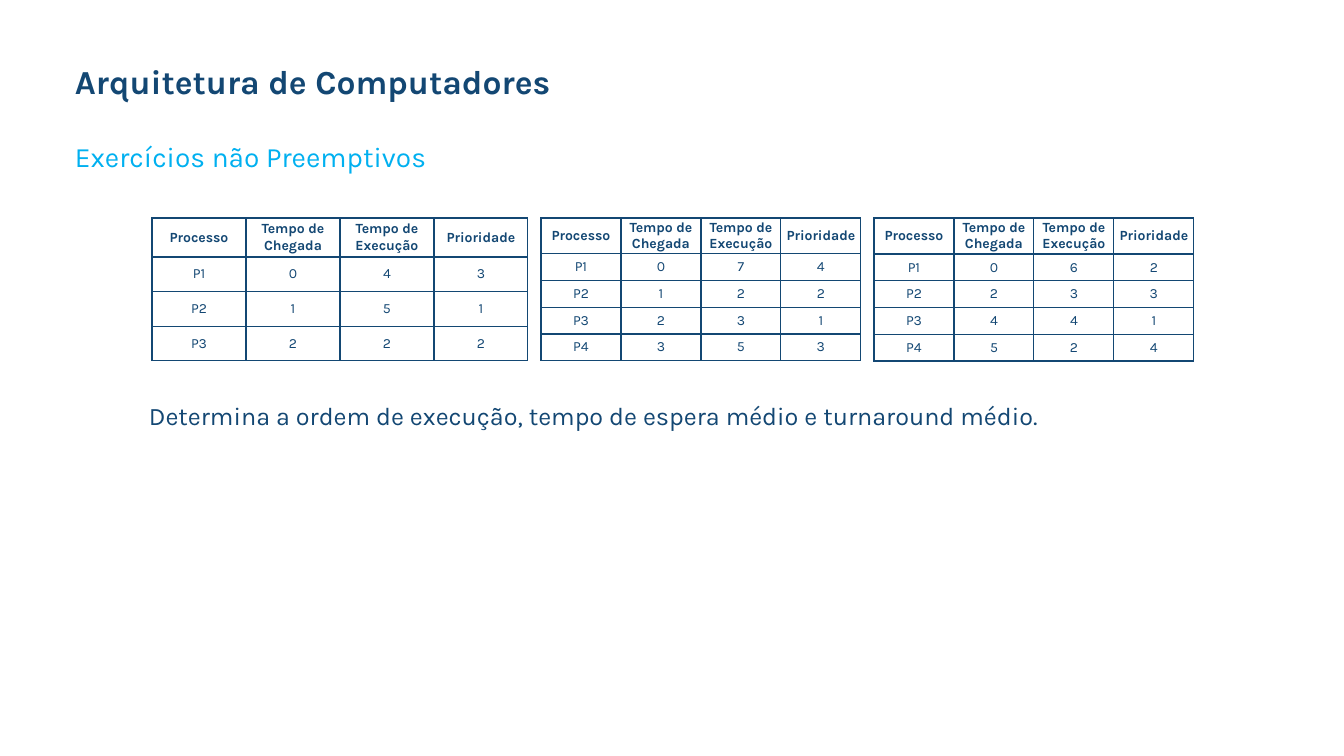
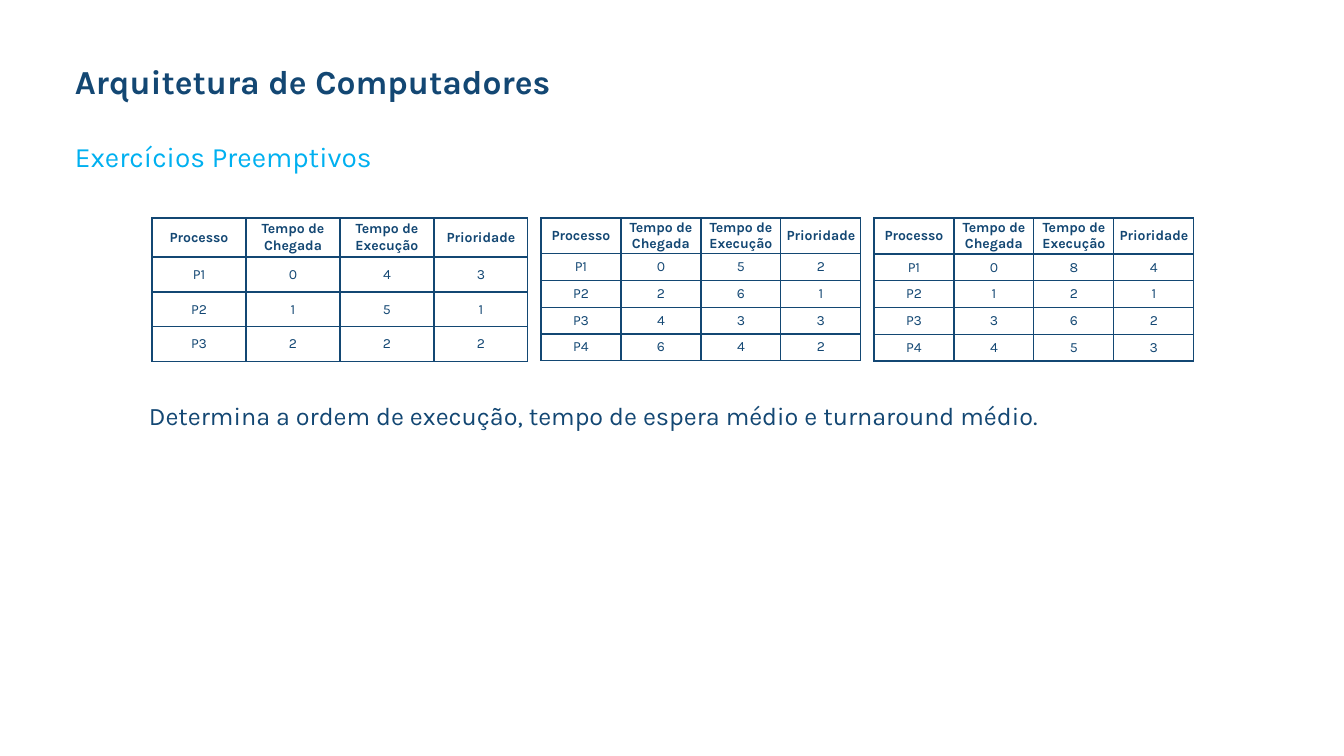
"""Build two slides of process scheduling exercises."""
from dataclasses import dataclass

from lxml.etree import fromstring
from pptx import Presentation
from pptx.dml.color import RGBColor as Rgb
from pptx.enum.text import MSO_ANCHOR as Anchor, PP_ALIGN as Align
from pptx.oxml.ns import nsdecls
from pptx.slide import Slide
from pptx.table import _Cell as Cell
from pptx.text.text import _Paragraph as Para
from pptx.util import Emu, Pt


@dataclass(frozen=True)
class Style:
    """Describe one kind of text."""
    size: int
    color: str
    bold: bool = False


@dataclass(frozen=True)
class Theme:
    """Hold the font, colours and type sizes."""
    font: str = "Karla"
    navy: str = "134773"
    title: Style = Style(24, "134773", True)
    sub: Style = Style(20, "00B0F0")
    note: Style = Style(18, "134773")
    head: Style = Style(10, "134773", True)
    body: Style = Style(10, "134773")
    rule: Emu = Pt(1)


@dataclass(frozen=True)
class Box:
    """Place a text box, in px."""
    left: int
    top: int
    width: int
    height: int
    anchor: Anchor = Anchor.TOP


@dataclass(frozen=True)
class Grid:
    """Give a table its sizes in px and its values by process."""
    col: int
    head: int
    height: int
    inset: int
    rows: tuple[tuple[int, int, int], ...]


@dataclass(frozen=True)
class Page:
    """Name a slide and list its tables."""
    sub: str
    grids: tuple[Grid, ...]


THEME = Theme()
WIDE, HIGH = 1344, 756
LEFT, TOP, GAP = 152, 218, 13
TITLE = Box(65, 43, 1045, 76, Anchor.MIDDLE)
SUB = Box(65, 135, 1212, 46)
NOTE = Box(139, 395, 912, 40)
HEADS = ("Processo", "Tempo de Chegada", "Tempo de Execução", "Prioridade")
THREE = ((0, 4, 3), (1, 5, 1), (2, 2, 2))
PAGES = (
    Page("Exercícios não Preemptivos", (
        Grid(94, 39, 143, 3, THREE),
        Grid(80, 35, 142, 2, ((0, 7, 4), (1, 2, 2), (2, 3, 1), (3, 5, 3))),
        Grid(80, 36, 143, 2, ((0, 6, 2), (2, 3, 3), (4, 4, 1), (5, 2, 4))),
    )),
    Page("Exercícios Preemptivos", (
        Grid(94, 39, 144, 3, THREE),
        Grid(80, 35, 142, 2, ((0, 5, 2), (2, 6, 1), (4, 3, 3), (6, 4, 2))),
        Grid(80, 36, 143, 2, ((0, 8, 4), (1, 2, 1), (3, 6, 2), (4, 5, 3))),
    )),
)


def px(n: int) -> Emu:
    """Turn px into EMU."""
    return Emu(round(n * 12192000 / WIDE))


def write(para: Para, text: str, style: Style) -> None:
    """Add one styled run."""
    run = para.add_run()
    run.text = text
    font = run.font
    font.name, font.size, font.bold = THEME.font, Pt(style.size), style.bold
    font.color.rgb = Rgb.from_string(style.color)


def label(slide: Slide, box: Box, text: str, style: Style) -> None:
    """Add a text box."""
    area = map(px, (box.left, box.top, box.width, box.height))
    frame = slide.shapes.add_textbox(*area).text_frame
    frame.word_wrap = True
    frame.vertical_anchor = box.anchor
    write(frame.paragraphs[0], text, style)


def edge(cell: Cell) -> None:
    """Clear the fill and rule all four sides."""
    cell.fill.background()
    props = cell._tc.get_or_add_tcPr()
    for spot, side in enumerate("LRTB"):
        props.insert(spot, fromstring(
            f'<a:ln{side} {nsdecls("a")} w="{THEME.rule}"><a:solidFill>'
            f'<a:srgbClr val="{THEME.navy}"/></a:solidFill></a:ln{side}>'))


def fill(cell: Cell, text: str, style: Style, inset: int) -> None:
    """Write a centred cell."""
    cell.margin_left = cell.margin_right = px(inset)
    cell.margin_top = cell.margin_bottom = px(1)
    cell.vertical_anchor = Anchor.MIDDLE
    para = cell.text_frame.paragraphs[0]
    para.alignment = Align.CENTER
    write(para, text, style)
    edge(cell)


def draw(slide: Slide, grid: Grid, left: int) -> None:
    """Add one table of processes."""
    lines = [HEADS] + [(f"P{n}", *map(str, row))
                       for n, row in enumerate(grid.rows, 1)]
    wide = grid.col * len(HEADS)
    table = slide.shapes.add_table(
        len(lines), len(HEADS), px(left), px(TOP), px(wide), px(grid.height)).table
    table.first_row = table.horz_banding = False
    for col in table.columns:
        col.width = px(grid.col)
    share = Emu(px(grid.height - grid.head) // len(grid.rows))
    for r, line in enumerate(lines):
        table.rows[r].height = share if r else px(grid.head)
        for c, text in enumerate(line):
            fill(table.cell(r, c), text, THEME.body if r else THEME.head, grid.inset)


def build(slide: Slide, page: Page) -> None:
    """Lay out one slide."""
    label(slide, TITLE, "Arquitetura de Computadores", THEME.title)
    label(slide, SUB, page.sub, THEME.sub)
    left = LEFT
    for grid in page.grids:
        draw(slide, grid, left)
        left += grid.col * len(HEADS) + GAP
    label(slide, NOTE, "Determina a ordem de execução, tempo de espera médio "
          "e turnaround médio.", THEME.note)


def main() -> None:
    """Build and save the deck."""
    deck = Presentation()
    deck.slide_width, deck.slide_height = px(WIDE), px(HIGH)
    for page in PAGES:
        build(deck.slides.add_slide(deck.slide_layouts[6]), page)
    deck.save("out.pptx")


if __name__ == "__main__":
    main()
